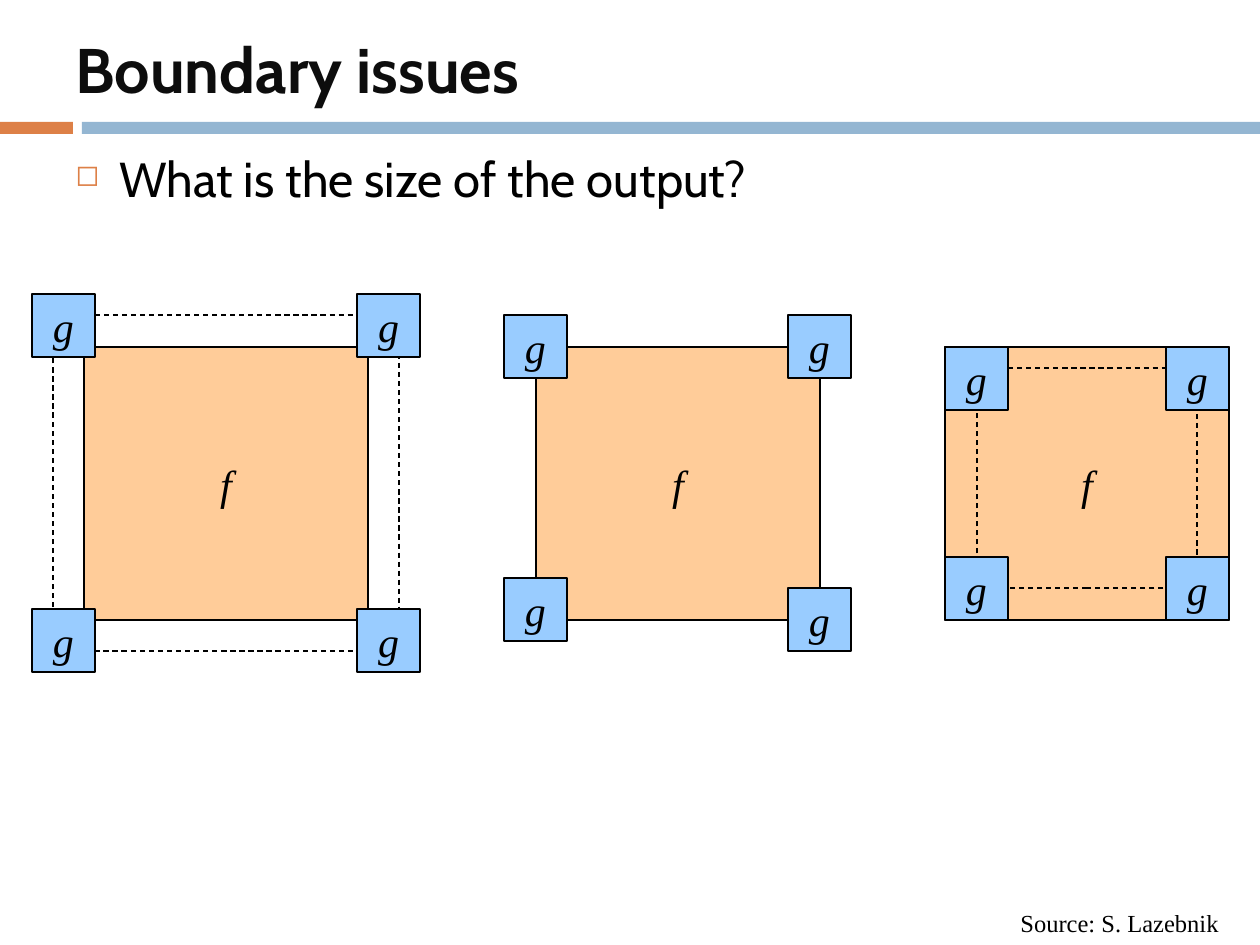
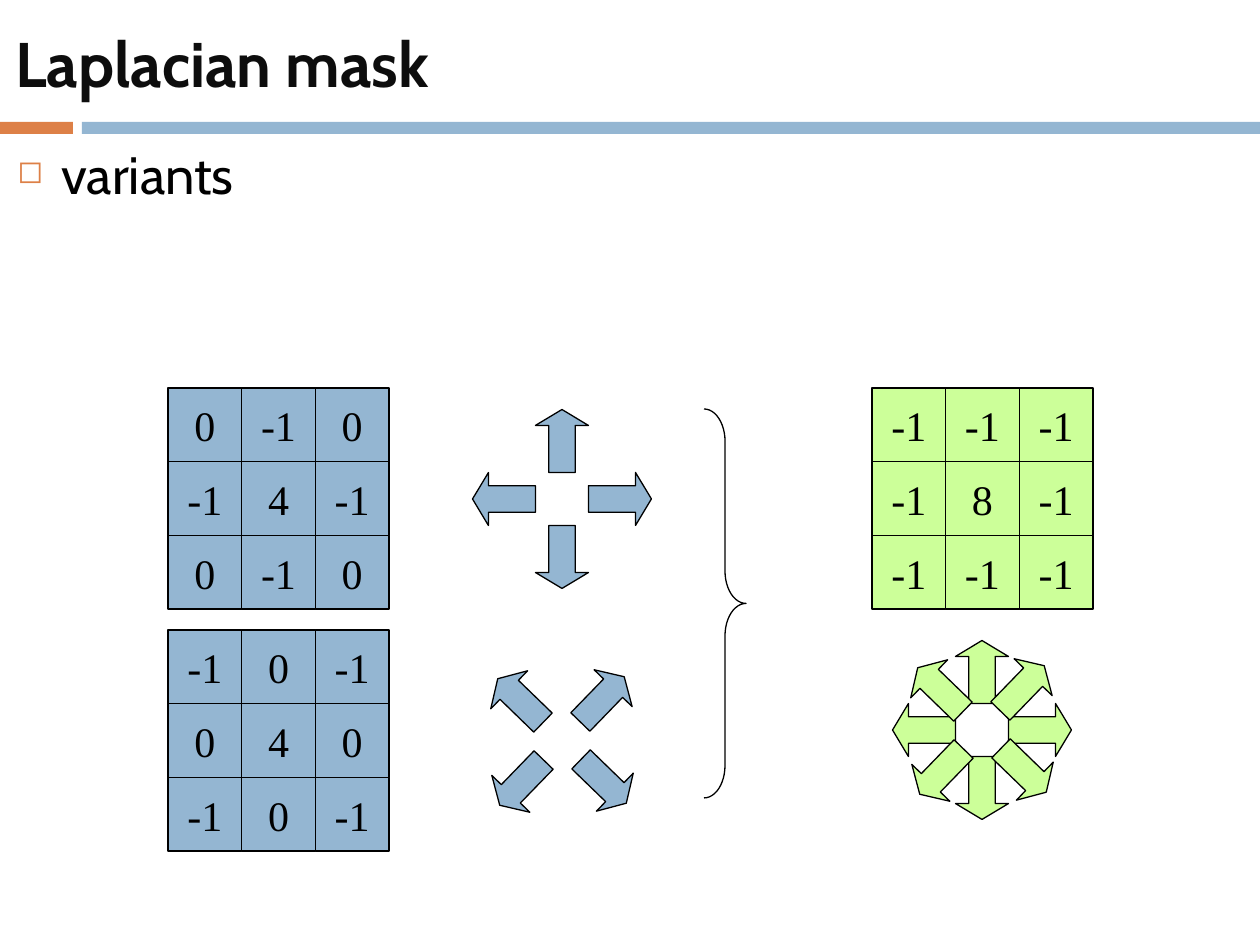
"""Build two slides on image filtering: boundary issues and Laplacian masks."""
import math

import lxml.etree
import pptx
import pptx.dml.color
import pptx.enum.dml
import pptx.enum.shapes
import pptx.enum.text
import pptx.oxml.ns
import pptx.util

EMU_PER_PX = 914400 / 126
SLIDE_WIDTH, SLIDE_HEIGHT = 1260, 945
BLACK, TITLE_COLOUR = "000000", "0D0D0D"
ORANGE, BLUE = "DD8047", "94B6D2"
IMAGE_FILL, KERNEL_FILL, COMBINED_FILL = "FFCC99", "99CCFF", "CCFF99"
HEADING_FONT, FIGURE_FONT = "Cabin", "Times New Roman"
KERNEL_SIZE = 63
MASK_SIZE = 221
ARROW_WIDTH, ARROW_HEIGHT, ARROW_RADIUS = 63, 53, 58
STRAIGHT_ANGLES = (0, 180, 90, 270)
DIAGONAL_ANGLES = (44.1, 224.1, 134.1, 314.1)
CROSS_MASK = ((0, -1, 0), (-1, 4, -1), (0, -1, 0))
DIAGONAL_MASK = ((-1, 0, -1), (0, 4, 0), (-1, 0, -1))
COMBINED_MASK = ((-1, -1, -1), (-1, 8, -1), (-1, -1, -1))

SHAPE = pptx.enum.shapes.MSO_SHAPE
ALIGN = pptx.enum.text.PP_ALIGN
ANCHOR = pptx.enum.text.MSO_ANCHOR


def px(length):
    return pptx.util.Emu(round(length * EMU_PER_PX))


def colour(value):
    return pptx.dml.color.RGBColor.from_string(value)


def add_bullet(paragraph):
    properties = paragraph._p.get_or_add_pPr()
    indent = px(44)
    properties.set("marL", str(indent))
    properties.set("indent", str(-indent))
    qualified = pptx.oxml.ns.qn
    bullet_colour = lxml.etree.SubElement(properties, qualified("a:buClr"))
    lxml.etree.SubElement(bullet_colour, qualified("a:srgbClr"), val=ORANGE)
    lxml.etree.SubElement(properties, qualified("a:buSzPct"), val="60000")
    lxml.etree.SubElement(properties, qualified("a:buChar"), char="◻")


def write_text(shape, text, size=24, font=FIGURE_FONT, text_colour=BLACK, bold=False,
               italic=False, align=ALIGN.LEFT, anchor=ANCHOR.TOP, wrap=False, bullet=False):
    frame = shape.text_frame
    frame.word_wrap = wrap
    frame.vertical_anchor = anchor
    paragraph = frame.paragraphs[0]
    paragraph.text = text
    paragraph.alignment = align
    if bullet:
        add_bullet(paragraph)
    paragraph.font.size = pptx.util.Pt(size)
    paragraph.font.name = font
    paragraph.font.bold = bold
    paragraph.font.italic = italic
    paragraph.font.color.rgb = colour(text_colour)


def add_text(slide, box, text, **text_format):
    write_text(slide.shapes.add_textbox(*map(px, box)), text, **text_format)


def add_shape(slide, kind, box, fill=None, line=BLACK, dashed=False, adjustments=()):
    shape = slide.shapes.add_shape(kind, *map(px, box))
    shape.shadow.inherit = False
    if fill:
        shape.fill.solid()
        shape.fill.fore_color.rgb = colour(fill)
    else:
        shape.fill.background()
    if line:
        shape.line.color.rgb = colour(line)
        shape.line.width = pptx.util.Pt(0.75)
    else:
        shape.line.fill.background()
    if dashed:
        shape.line.dash_style = pptx.enum.dml.MSO_LINE.DASH
    for index, value in enumerate(adjustments):
        shape.adjustments[index] = value
    return shape


def add_labelled_box(slide, box, label, fill, italic=False):
    shape = add_shape(slide, SHAPE.RECTANGLE, box, fill)
    write_text(shape, label, italic=italic, align=ALIGN.CENTER, anchor=ANCHOR.MIDDLE)


def add_slide(presentation, title, title_box, bullet, bullet_box, bullet_size):
    slide = presentation.slides.add_slide(presentation.slide_layouts[6])
    add_shape(slide, SHAPE.RECTANGLE, (0, 122, 73, 12), ORANGE, line=None)
    add_shape(slide, SHAPE.RECTANGLE, (82, 122, SLIDE_WIDTH - 82, 12), BLUE, line=None)
    add_text(slide, title_box, title, size=36, font=HEADING_FONT, text_colour=TITLE_COLOUR,
             bold=True, anchor=ANCHOR.MIDDLE, wrap=True)
    add_text(slide, bullet_box, bullet, size=bullet_size, font=HEADING_FONT,
             wrap=True, bullet=True)
    return slide


def add_filtered_image(slide, left, kernel_corners, output_box=None):
    add_labelled_box(slide, (left, 347, 284, 273), "f", IMAGE_FILL, italic=True)
    if output_box:
        add_shape(slide, SHAPE.RECTANGLE, output_box, dashed=True)
    for corner in kernel_corners:
        add_labelled_box(slide, (*corner, KERNEL_SIZE, KERNEL_SIZE), "g", KERNEL_FILL,
                         italic=True)


def add_mask(slide, left, top, values, fill):
    cell = MASK_SIZE / 3
    for row, row_values in enumerate(values):
        for column, value in enumerate(row_values):
            box = (left + column * cell, top + row * cell, cell, cell)
            add_labelled_box(slide, box, str(value), fill)


def add_arrows(slide, center_x, center_y, angles, fill):
    for angle in angles:
        x = center_x + ARROW_RADIUS * math.cos(math.radians(angle))
        y = center_y + ARROW_RADIUS * math.sin(math.radians(angle))
        box = (x - ARROW_WIDTH / 2, y - ARROW_HEIGHT / 2, ARROW_WIDTH, ARROW_HEIGHT)
        arrow = add_shape(slide, SHAPE.RIGHT_ARROW, box, fill, adjustments=(0.5, 0.3))
        arrow.rotation = angle


def build_boundary_slide(presentation):
    slide = add_slide(presentation, "Boundary issues", (63, -10, 1134, 157),
                      "What is the size of the output?", (63, 142, 1134, 624), 28)
    add_filtered_image(slide, 84, ((357, 294), (32, 294), (357, 609), (32, 609)),
                       (53, 315, 346, 336))
    add_filtered_image(slide, 536, ((788, 315), (504, 315), (788, 588), (504, 578)))
    add_filtered_image(slide, 945, ((1166, 347), (945, 347), (1166, 557), (945, 557)),
                       (977, 368, 220, 220))
    add_text(slide, (1008, 902, 260, 43), "Source: S. Lazebnik", size=14)


def build_laplacian_slide(presentation):
    slide = add_slide(presentation, "Laplacian mask", (3, -1, 1257, 127),
                      "variants", (5, 136, 1250, 777), 30)
    add_mask(slide, 168, 388, CROSS_MASK, BLUE)
    add_arrows(slide, 562, 499, STRAIGHT_ANGLES, BLUE)
    add_arrows(slide, 562, 741, DIAGONAL_ANGLES, BLUE)
    add_mask(slide, 168, 630, DIAGONAL_MASK, BLUE)
    add_shape(slide, SHAPE.RIGHT_BRACE, (704, 409, 42, 389), adjustments=(0.77, 0.5))
    add_mask(slide, 872, 388, COMBINED_MASK, COMBINED_FILL)
    add_arrows(slide, 982, 730, STRAIGHT_ANGLES + DIAGONAL_ANGLES, COMBINED_FILL)


def main():
    presentation = pptx.Presentation()
    presentation.slide_width = px(SLIDE_WIDTH)
    presentation.slide_height = px(SLIDE_HEIGHT)
    build_boundary_slide(presentation)
    build_laplacian_slide(presentation)
    presentation.save("out.pptx")


if __name__ == "__main__":
    main()
